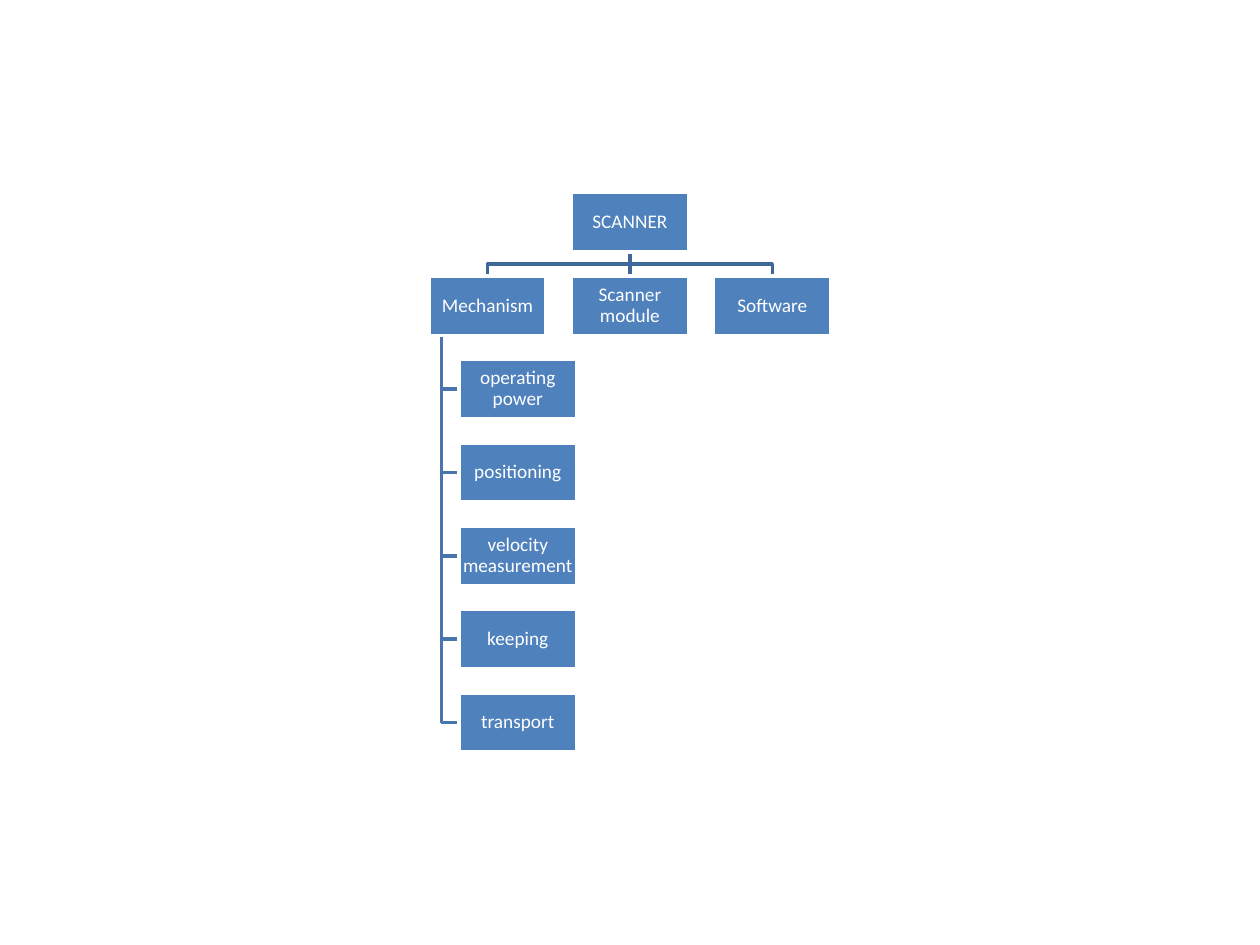
from pptx import Presentation
from pptx.dml.color import RGBColor
from pptx.enum.shapes import MSO_CONNECTOR, MSO_SHAPE
from pptx.enum.text import MSO_ANCHOR, PP_ALIGN
from pptx.oxml.ns import qn
from pptx.util import Inches, Pt

RECT, STRAIGHT = MSO_SHAPE.RECTANGLE, MSO_CONNECTOR.STRAIGHT
MIDDLE, CENTER = MSO_ANCHOR.MIDDLE, PP_ALIGN.CENTER
HEX = {"box": "4F81BD", "edge": "FFFFFF", "text": "FFFFFF",
       "fork": "3F6797", "stem": "4875AC"}
RGB = {name: RGBColor.from_string(code) for name, code in HEX.items()}

deck = Presentation()
deck.slide_width, deck.slide_height = Inches(10), Inches(7.5)
slide = deck.slides.add_slide(deck.slide_layouts[6])
shapes = slide.shapes

# Grid: three columns, seven rows, centred across the slide
MID = 5
BOX_W, BOX_H = 0.93, 0.47
COL = 1.13
TOP, LAST = 1.53, 5.5
ROW = (LAST - TOP) / 6
INDENT = 0.24
LEFT = MID - BOX_W / 2
STEM = LEFT - COL + 0.1

units = ["Mechanism", "Scanner module", "Software"]
parts = ["operating power", "positioning", "velocity measurement",
         "keeping", "transport"]
FRAME = {"word_wrap": True, "vertical_anchor": MIDDLE,
         **{f"margin_{side}": Inches(0.01)
            for side in ("left", "top", "right", "bottom")}}
PARA = {"alignment": CENTER, "line_spacing": 0.9}
FONT = {"name": "Calibri", "size": Pt(11)}


def add_path(points, tone):
    """Draw an open bent line through points given in inches."""
    dots = [(Inches(x), Inches(y)) for x, y in points]
    pen = shapes.build_freeform(*dots[0])
    pen.add_line_segments(dots[1:], close=False)
    path = pen.convert_to_shape()
    path.shadow.inherit = False
    path.fill.background()
    path.line.color.rgb = RGB[tone]
    path.line.width = Pt(2)


def add_box(text, left, row):
    """Add a labelled box at a left edge, on a grid row."""
    box = shapes.add_shape(RECT, Inches(left), Inches(TOP + row * ROW),
                           Inches(BOX_W), Inches(BOX_H))
    box.shadow.inherit = False
    box.fill.solid()
    box.fill.fore_color.rgb = RGB["box"]
    box.line.color.rgb = RGB["edge"]
    box.line.width = Pt(2)
    frame = box.text_frame
    frame.text = text
    para = frame.paragraphs[0]
    font = para.runs[0].font
    for item, values in ((frame, FRAME), (para, PARA), (font, FONT)):
        for key, value in values.items():
            setattr(item, key, value)
    font.color.rgb = RGB["text"]


# Fork from the root to the units
start, end = TOP + BOX_H, TOP + ROW
bend = (start + end) / 2
for x in (MID - COL, MID + COL):
    add_path([(MID, start), (MID, bend), (x, bend), (x, end)], "fork")
drop = shapes.add_connector(STRAIGHT, Inches(MID), Inches(start),
                            Inches(MID), Inches(end))
drop.line.color.rgb = RGB["fork"]
drop.line.width = Pt(2)
props = drop._element.spPr
props.append(props.makeelement(qn("a:effectLst"), {}))

# Stem from the first unit to its parts
first = LEFT - COL + INDENT
for row in range(len(parts) + 1, 1, -1):
    y = TOP + row * ROW + BOX_H / 2
    add_path([(STEM, end + BOX_H), (STEM, y), (first, y)], "stem")

add_box("SCANNER", LEFT, 0)
for col, unit in enumerate(units, -1):
    add_box(unit, LEFT + col * COL, 1)
for row, part in enumerate(parts, 2):
    add_box(part, first, row)

deck.save("out.pptx")
